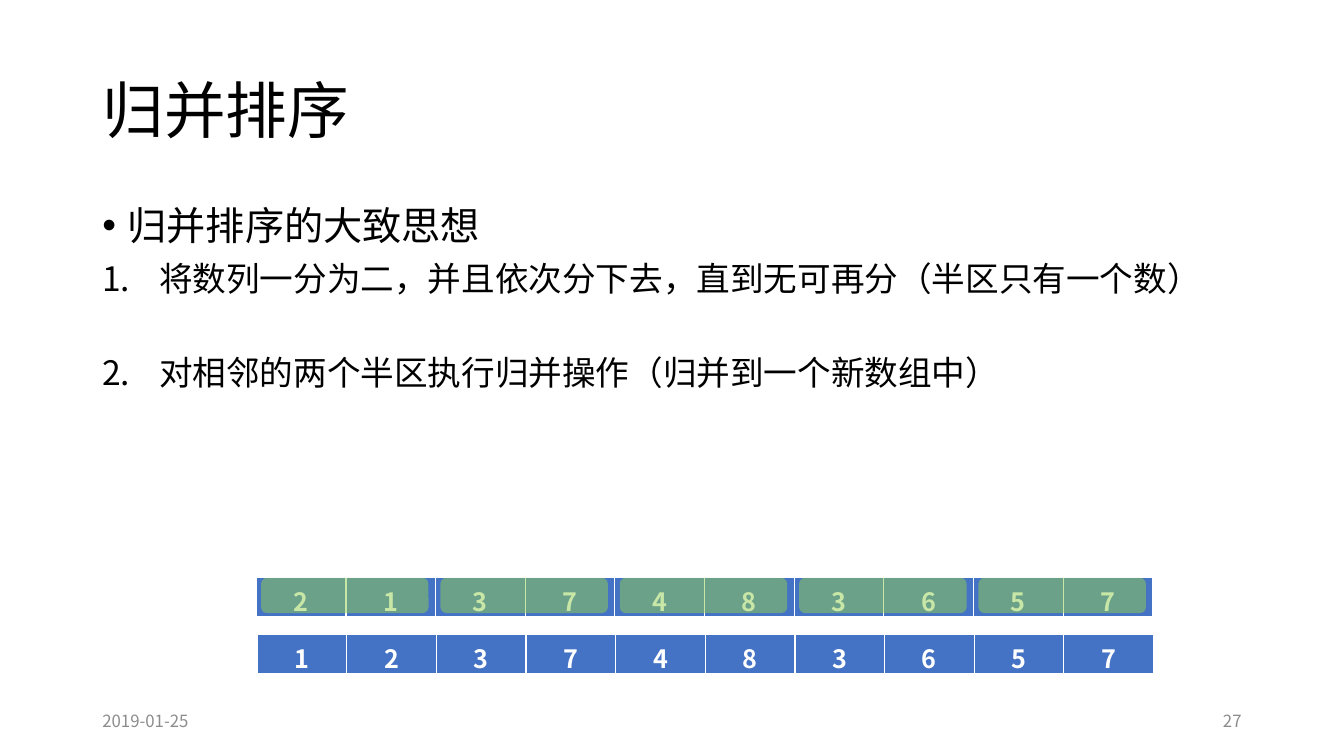
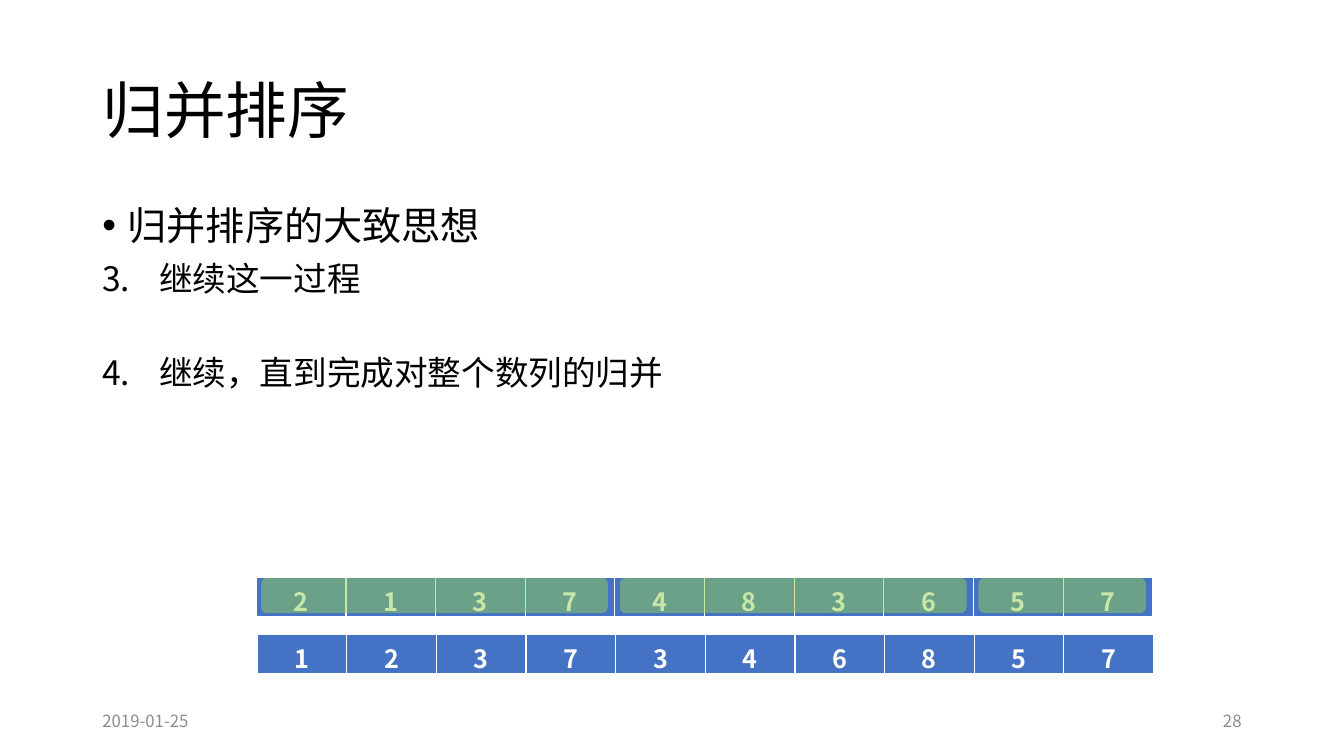
from lxml.etree import SubElement
from pptx import Presentation
from pptx.dml.color import RGBColor
from pptx.enum.shapes import MSO_SHAPE
from pptx.enum.text import MSO_ANCHOR, PP_ALIGN
from pptx.oxml.ns import qn
from pptx.util import Cm, Pt


def tint(code):
    return RGBColor.from_string(code)


class Deck:
    face = "Noto Sans CJK SC"
    ink, gray, blue, green, white = "000000", "8C8C8C", "4472C4", "92D050", "FFFFFF"
    left, wide = 2.33, 29.21
    step, row = 2.26, 1.03
    grid = 6.46

    def __init__(self):
        self.show = Presentation()
        self.show.slide_width = Cm(33.87)
        self.show.slide_height = Cm(19.05)

    def run(self, para, text, size, code, bold=False):
        run = para.add_run()
        run.text = text
        font = run.font
        font.size = Pt(size)
        font.bold = bold
        font.name = self.face
        font.color.rgb = tint(code)
        SubElement(run._r.get_or_add_rPr(), qn("a:ea"), typeface=self.face)

    def box(self, x, y, w, h, anchor):
        frame = self.page.shapes.add_textbox(Cm(x), Cm(y), Cm(w), Cm(h)).text_frame
        frame.word_wrap = True
        frame.vertical_anchor = anchor
        return frame

    def slide(self, title, number):
        self.page = self.show.slides.add_slide(self.show.slide_layouts[5])
        head = self.page.shapes.title
        head.left, head.top = Cm(self.left), Cm(1.01)
        head.width, head.height = Cm(self.wide), Cm(3.68)
        head.text_frame.vertical_anchor = MSO_ANCHOR.MIDDLE
        para = head.text_frame.paragraphs[0]
        para.alignment = PP_ALIGN.LEFT
        para.line_spacing = 0.9
        self.run(para, title, 44, self.ink)
        self.foot("2019-01-25", self.left, PP_ALIGN.LEFT)
        self.foot(str(number), 23.92, PP_ALIGN.RIGHT)

    def foot(self, text, x, align):
        para = self.box(x, 17.66, 7.62, 1.01, MSO_ANCHOR.MIDDLE).paragraphs[0]
        para.alignment = align
        self.run(para, text, 12, self.gray)

    def item(self, para, text, size, hang, gap, start=None):
        props = para._p.get_or_add_pPr()
        props.set("marL", str(Cm(hang)))
        props.set("indent", str(-Cm(hang)))
        if start:
            SubElement(props, qn("a:buFont"), typeface="+mj-lt")
            SubElement(props, qn("a:buAutoNum"), type="arabicPeriod", startAt=str(start))
        else:
            SubElement(props, qn("a:buFont"), typeface="Arial")
            SubElement(props, qn("a:buChar"), char="•")
        para.line_spacing = 0.9
        para.space_before = Pt(gap)
        self.run(para, text, size, self.ink)

    def body(self, lead, steps, start):
        frame = self.box(self.left, 5.07, self.wide, 12.09, MSO_ANCHOR.TOP)
        self.item(frame.paragraphs[0], lead, 28, 0.64, 0)
        for text, gap in zip(steps, (10, 41)):
            self.item(frame.add_paragraph(), text, 24, 1.43, gap, start)

    def edge(self, cell):
        props = cell._tc.get_or_add_tcPr()
        for side, width in (("L", 1), ("R", 1), ("T", 1), ("B", 3)):
            line = SubElement(props, qn(f"a:ln{side}"), w=str(Pt(width)))
            fill = SubElement(line, qn("a:solidFill"))
            SubElement(fill, qn("a:srgbClr"), val=self.white)

    def array(self, digits, x, y):
        count = len(digits)
        table = self.page.shapes.add_table(
            1, count, Cm(x), Cm(y), Cm(self.step * count), Cm(self.row)).table
        table.first_row = table.horz_banding = False
        for col, digit in enumerate(digits):
            table.columns[col].width = Cm(self.step)
            cell = table.cell(0, col)
            self.edge(cell)
            cell.fill.solid()
            cell.fill.fore_color.rgb = tint(self.blue)
            para = cell.text_frame.paragraphs[0]
            para.alignment = PP_ALIGN.CENTER
            self.run(para, digit, 18, self.white, True)

    def zone(self, first, span):
        shape = self.page.shapes.add_shape(
            MSO_SHAPE.ROUNDED_RECTANGLE,
            Cm(self.grid + first * self.step + 0.12), Cm(14.56),
            Cm(span * self.step - 0.3), Cm(0.89))
        shape.shadow.inherit = False
        shape.line.fill.background()
        shape.fill.solid()
        shape.fill.fore_color.rgb = tint(self.green)
        color = shape.fill._xPr.find(qn("a:solidFill"))[0]
        SubElement(color, qn("a:alpha"), val="50000")

    def merge(self, before, spans, after):
        self.array(before, self.grid, 14.55)
        first = 0
        for span in spans:
            self.zone(first, span)
            first += span
        self.array(after, self.grid + 0.02, 15.98)


def main():
    deck = Deck()
    pages = (
        (27, 1, ("将数列一分为二，并且依次分下去，直到无可再分（半区只有一个数）",
                 "对相邻的两个半区执行归并操作（归并到一个新数组中）"),
         (2, 2, 2, 2, 2), "1237483657"),
        (28, 3, ("继续这一过程", "继续，直到完成对整个数列的归并"),
         (4, 4, 2), "1237346857"),
    )
    for number, start, steps, spans, after in pages:
        deck.slide("归并排序", number)
        deck.body("归并排序的大致思想", steps, start)
        deck.merge("2137483657", spans, after)
    deck.show.save("out.pptx")


if __name__ == "__main__":
    main()
